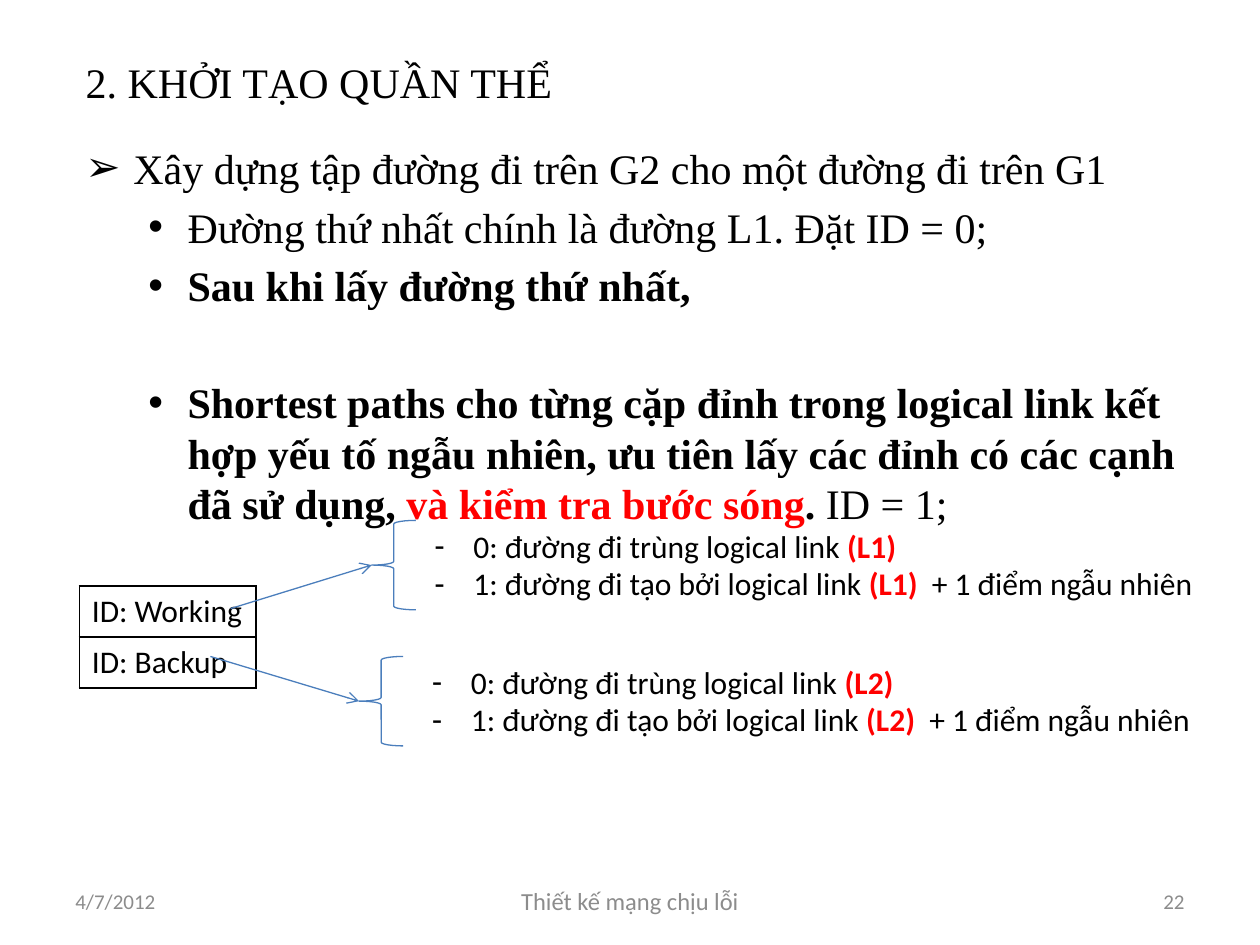
from dataclasses import dataclass

from lxml.etree import SubElement
from pptx import Presentation
from pptx.dml.color import RGBColor
from pptx.enum.shapes import MSO_CONNECTOR, MSO_SHAPE
from pptx.enum.text import MSO_ANCHOR, PP_ALIGN
from pptx.oxml.ns import qn
from pptx.util import Inches, Pt


@dataclass(frozen=True)
class Theme:
    serif: str = "Times New Roman"
    sans: str = "Calibri"
    ink: RGBColor = RGBColor(0, 0, 0)
    red: RGBColor = RGBColor(255, 0, 0)
    gray: RGBColor = RGBColor(0x8C, 0x8C, 0x8C)
    blue: RGBColor = RGBColor(0x4B, 0x7E, 0xBC)
    head: int = 24
    label: int = 18
    foot: int = 14
    small: int = 12


THEME = Theme()


def style(para, name, size, color):
    font = para.font
    font.name, font.size = name, Pt(size)
    font.color.rgb = color


def add_runs(para, runs):
    for text, bold, color in runs:
        run = para.add_run()
        run.text = text
        run.font.bold = bold
        run.font.color.rgb = color


def set_bullet(para, mark, left, hang):
    props = para._p.get_or_add_pPr()
    props.set("marL", str(Inches(left)))
    props.set("indent", str(-Inches(hang)))
    SubElement(props, qn("a:buFont"), typeface="Arial")
    SubElement(props, qn("a:buChar"), char=mark)


def add_box(slide, left, top, width, height, anchor=MSO_ANCHOR.TOP):
    box = slide.shapes.add_textbox(
        Inches(left), Inches(top), Inches(width), Inches(height))
    frame = box.text_frame
    frame.word_wrap = True
    frame.vertical_anchor = anchor
    return frame


def next_para(frame, index):
    return frame.add_paragraph() if index else frame.paragraphs[0]


def add_title(slide, left, top, width, height):
    title = slide.shapes.title
    title.left, title.top = Inches(left), Inches(top)
    title.width, title.height = Inches(width), Inches(height)
    frame = title.text_frame
    frame.text = "2. KHỞI TẠO QUẦN THỂ"
    frame.vertical_anchor = MSO_ANCHOR.MIDDLE
    para = frame.paragraphs[0]
    para.alignment = PP_ALIGN.LEFT
    style(para, THEME.serif, THEME.head, THEME.ink)


def add_body(slide, left, top, width, height):
    ink, red = THEME.ink, THEME.red
    top_mark, sub_mark = ("➢", 0.38, 0.38), ("•", 0.81, 0.31)
    gap, skip = 4.8, 38
    items = [
        (top_mark, gap, [
            ("Xây dựng tập đường đi trên G2 cho một đường đi trên G1", False, ink)]),
        (sub_mark, gap, [
            ("Đường thứ nhất chính là đường L1. Đặt ID = 0;", False, ink)]),
        (sub_mark, gap, [("Sau khi lấy đường thứ nhất,", True, ink)]),
        (sub_mark, skip, [
            ("Shortest paths cho từng cặp đỉnh trong logical link kết hợp "
             "yếu tố ngẫu nhiên, ưu tiên lấy các đỉnh có các cạnh đã sử dụng, ",
             True, ink),
            ("và kiểm tra bước sóng", True, red),
            (". ", True, ink),
            ("ID = 1;", False, ink)]),
    ]
    frame = add_box(slide, left, top, width, height)
    for index, (mark, space, runs) in enumerate(items):
        para = next_para(frame, index)
        set_bullet(para, *mark)
        para.space_before = Pt(space)
        style(para, THEME.serif, THEME.head, ink)
        add_runs(para, runs)


def set_border(cell):
    props = cell._tc.get_or_add_tcPr()
    for index, side in enumerate(("lnL", "lnR", "lnT", "lnB")):
        line = props.makeelement(qn(f"a:{side}"), {"w": str(Pt(1))})
        fill = SubElement(line, qn("a:solidFill"))
        SubElement(fill, qn("a:srgbClr"), val=str(THEME.ink))
        props.insert(index, line)


def add_ids(slide, left, top, width, height):
    names = ["ID: Working", "ID: Backup"]
    table = slide.shapes.add_table(
        len(names), 1, Inches(left), Inches(top),
        Inches(width), Inches(height)).table
    table.first_row = table.horz_banding = False
    for row, name in enumerate(names):
        cell = table.cell(row, 0)
        cell.text = name
        cell.fill.background()
        style(cell.text_frame.paragraphs[0], THEME.sans, THEME.label, THEME.ink)
        set_border(cell)


def add_arrow(slide, start, end):
    arrow = slide.shapes.add_connector(
        MSO_CONNECTOR.STRAIGHT, *map(Inches, start + end))
    arrow.line.color.rgb = THEME.blue
    arrow.line.width = Pt(0.75)
    SubElement(arrow.line._get_or_add_ln(), qn("a:tailEnd"), type="arrow")
    SubElement(arrow._element.spPr, qn("a:effectLst"))


def add_cases(slide, left, top, height, text_left, link, start):
    brace = slide.shapes.add_shape(
        MSO_SHAPE.LEFT_BRACE, Inches(left), Inches(top),
        Inches(0.35), Inches(height))
    brace.shadow.inherit = False
    brace.fill.background()
    brace.line.color.rgb = THEME.blue
    brace.line.width = Pt(0.75)

    ink, red = THEME.ink, THEME.red
    lines = [
        [("0: đường đi trùng logical link ", False, ink),
         (f"({link})", True, red)],
        [("1: đường đi tạo bởi logical link ", False, ink),
         (f"({link}) ", True, red),
         (" + 1 điểm ngẫu nhiên", False, ink)],
    ]
    frame = add_box(slide, text_left, top, 6.24, height)
    for index, runs in enumerate(lines):
        para = next_para(frame, index)
        set_bullet(para, "-", 0.31, 0.31)
        style(para, THEME.sans, THEME.label, ink)
        add_runs(para, runs)
    add_arrow(slide, start, (left, top + height / 2))


def add_footer(slide, left, top, width, height):
    side, mid = 2.33, 3.17
    parts = [
        (0, side, "4/7/2012", THEME.small, PP_ALIGN.LEFT),
        ((width - mid) / 2, mid, "Thiết kế mạng chịu lỗi", THEME.foot,
         PP_ALIGN.CENTER),
        (width - side, side, "22", THEME.small, PP_ALIGN.RIGHT),
    ]
    for shift, span, text, size, align in parts:
        frame = add_box(slide, left + shift, top, span, height, MSO_ANCHOR.MIDDLE)
        frame.text = text
        para = frame.paragraphs[0]
        para.alignment = align
        style(para, THEME.sans, size, THEME.gray)


def main():
    deck = Presentation()
    deck.slide_width, deck.slide_height = Inches(10), Inches(7.5)
    slide = deck.slides.add_slide(deck.slide_layouts[5])
    add_title(slide, 0.58, 0.3, 8.92, 0.7)
    add_body(slide, 0.58, 1.08, 8.92, 5.62)
    add_footer(slide, 0.5, 6.95, 9, 0.4)
    add_ids(slide, 0.63, 4.65, 1.4, 0.81)
    add_cases(slide, 2.95, 4.13, 0.71, 3.35, "L1", (1.83, 4.83))
    add_cases(slide, 2.85, 5.21, 0.71, 3.33, "L2", (1.67, 5.21))
    deck.save("out.pptx")


if __name__ == "__main__":
    main()
